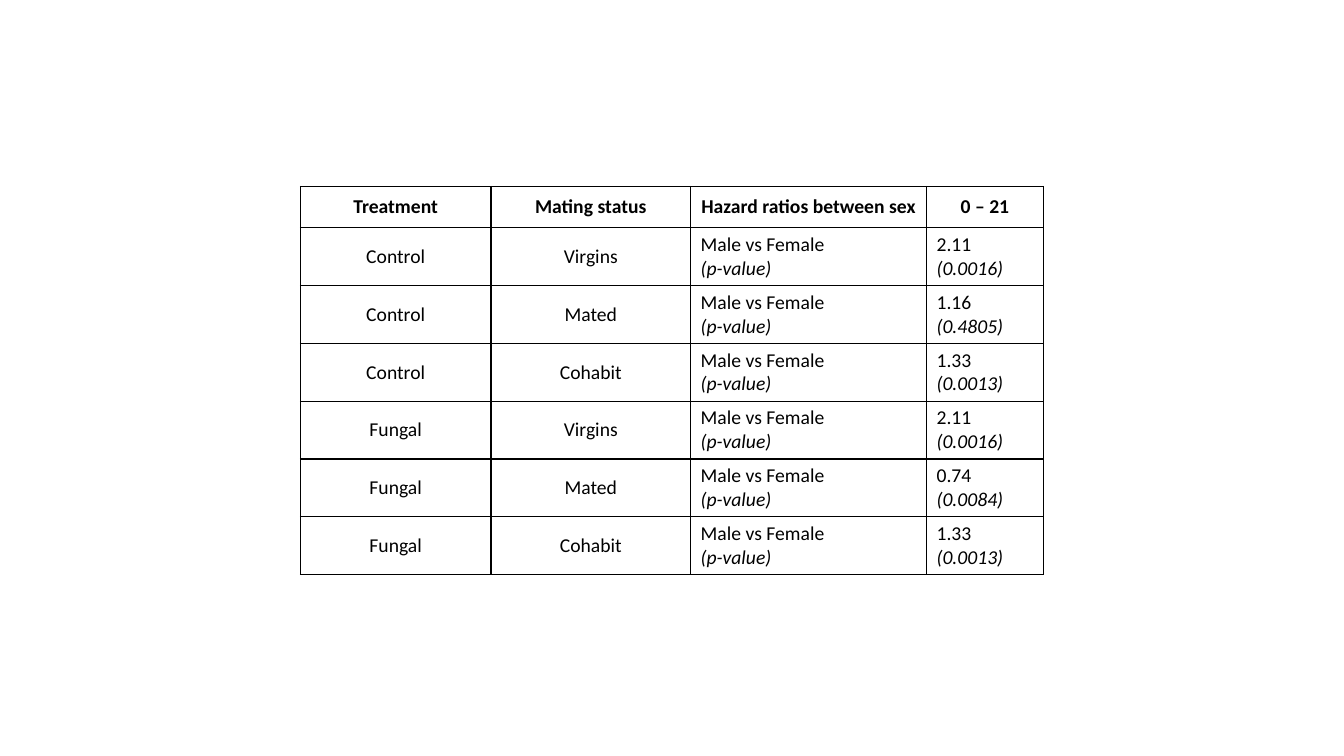
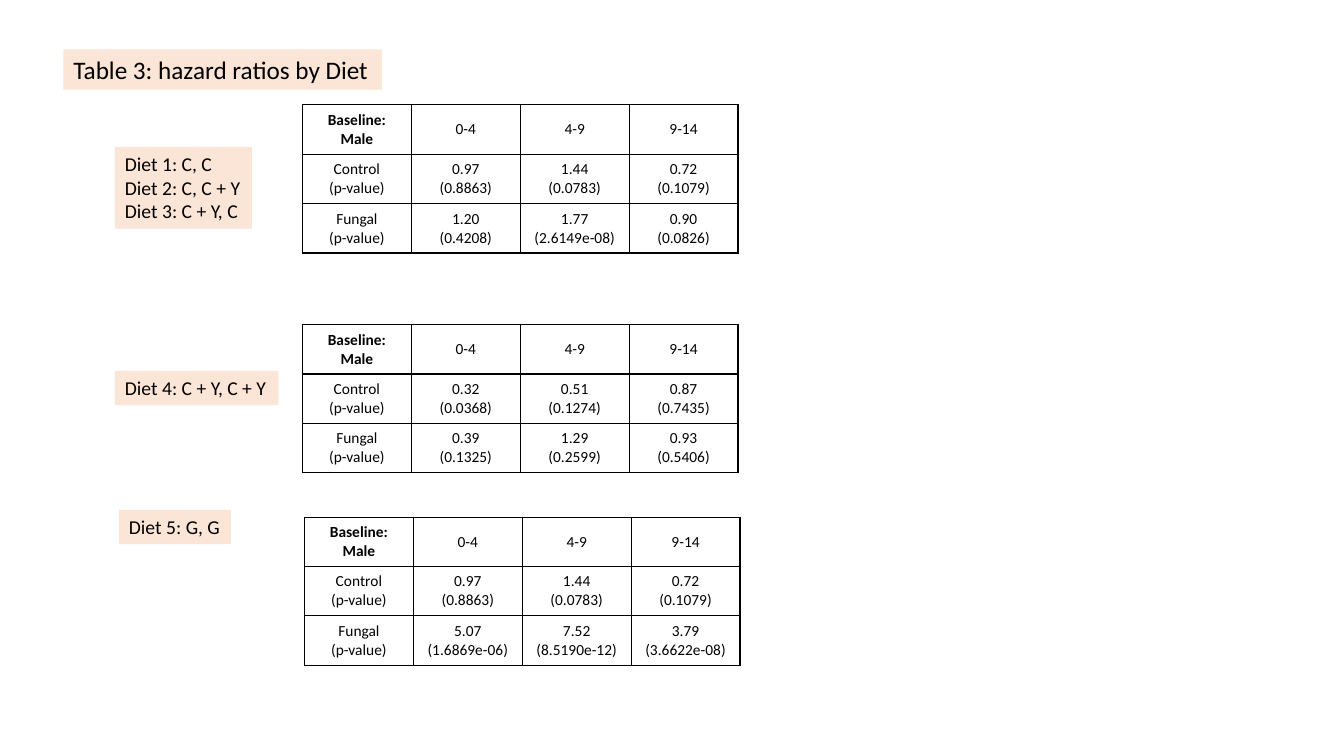
from pptx import Presentation
from pptx.dml.color import RGBColor
from pptx.enum.shapes import MSO_SHAPE
from pptx.enum.text import MSO_ANCHOR, MSO_AUTO_SIZE, PP_ALIGN
from pptx.oxml import parse_xml
from pptx.oxml.ns import nsdecls
from pptx.util import Inches, Pt

RECT = MSO_SHAPE.RECTANGLE
LEFT, CENTER = PP_ALIGN.LEFT, PP_ALIGN.CENTER
TOP, MIDDLE = MSO_ANCHOR.TOP, MSO_ANCHOR.MIDDLE
FIT = MSO_AUTO_SIZE.SHAPE_TO_FIT_TEXT

THEME = {
    "font": "Calibri",
    "ink": "000000",
    "peach": "FBE5D6",
    "title": Pt(18),
    "body": Pt(14),
    "small": Pt(11),
    "rule": Pt(1),
}


def write(frame, text, size, align=LEFT, bold=False, slant=False):
    """Write one paragraph a line; slant sets the lines after the first in italics."""
    frame.text = text
    for line, para in enumerate(frame.paragraphs):
        para.alignment = align
        look = {"name": THEME["font"], "size": size, "bold": bold,
                "italic": slant and line > 0}
        for key, value in look.items():
            setattr(para.font, key, value)
            setattr(para.runs[0].font, key, value)
        para.runs[0].font.color.rgb = RGBColor.from_string(THEME["ink"])


def grid(slide, left, top, widths, height, rows, size, heads, ratios):
    """Draw a ruled table: the first heads cells are bold, columns from ratios on are left-set."""
    table = slide.shapes.add_table(
        len(rows), len(widths), Inches(left), Inches(top),
        Inches(sum(widths)), Inches(height * len(rows))).table
    table.first_row = table.horz_banding = False
    for col, width in zip(table.columns, widths):
        col.width = Inches(width)
    for r, texts in enumerate(rows):
        table.rows[r].height = Inches(height)
        for c, text in enumerate(texts):
            cell = table.cell(r, c)
            ratio = r > 0 and c >= ratios
            cell.vertical_anchor = TOP if ratio else MIDDLE
            write(cell.text_frame, text, size, LEFT if ratio else CENTER,
                  r == 0 and c < heads, ratio)
            # Borders go before the fill in the cell properties
            props = cell._tc.get_or_add_tcPr()
            for side in ("lnL", "lnR", "lnT", "lnB"):
                props.append(parse_xml(
                    f'<a:{side} {nsdecls("a")} w="{THEME["rule"]}"><a:solidFill>'
                    f'<a:srgbClr val="{THEME["ink"]}"/></a:solidFill></a:{side}>'))
            cell.fill.background()


deck = Presentation()
deck.slide_width, deck.slide_height = Inches(13.33), Inches(7.5)
blank = deck.slide_layouts[6]

# Slide 1: hazard ratios between the sexes
slide = deck.slides.add_slide(blank)
trials = [
    ("Control", "Virgins", "2.11\n(0.0016)"),
    ("Control", "Mated", "1.16\n(0.4805)"),
    ("Control", "Cohabit", "1.33\n(0.0013)"),
    ("Fungal", "Virgins", "2.11\n(0.0016)"),
    ("Fungal", "Mated", "0.74\n(0.0084)"),
    ("Fungal", "Cohabit", "1.33\n(0.0013)"),
]
rows = [("Treatment", "Mating status", "Hazard ratios between sex", "0 – 21")]
rows += [(group, status, "Male vs Female\n(p-value)", ratio)
         for group, status, ratio in trials]
grid(slide, 2.98, 1.85, [1.89, 1.98, 2.34, 1.16], 0.41, rows,
     THEME["body"], heads=4, ratios=2)

# Slide 2: one table for each diet group
slide = deck.slides.add_slide(blank)
plain = ("0.97\n(0.8863)", "1.44\n(0.0783)", "0.72\n(0.1079)")
diets = [
    (3, 1.04, plain,
     ("1.20\n(0.4208)", "1.77\n(2.6149e-08)", "0.90\n(0.0826)")),
    (3, 3.22, ("0.32\n(0.0368)", "0.51\n(0.1274)", "0.87\n(0.7435)"),
     ("0.39\n(0.1325)", "1.29\n(0.2599)", "0.93\n(0.5406)")),
    (3.02, 5.13, plain,
     ("5.07\n(1.6869e-06)", "7.52\n(8.5190e-12)", "3.79\n(3.6622e-08)")),
]
for left, top, control, fungal in diets:
    rows = [("Baseline:\nMale", "0-4", "4-9", "9-14"),
            ("Control\n(p-value)", *control),
            ("Fungal\n(p-value)", *fungal)]
    grid(slide, left, top, [1.08] * 4, 0.49, rows,
         THEME["small"], heads=1, ratios=4)

# Title and diet labels
labels = [
    (0.63, 0.49, 3.16, 0.4, "title", "Table 3: hazard ratios by Diet"),
    (1.14, 1.46, 1.36, 0.81, "body",
     "Diet 1: C, C\nDiet 2: C, C + Y\nDiet 3: C + Y, C"),
    (1.14, 3.68, 1.62, 0.34, "body", "Diet 4: C + Y, C + Y"),
    (1.18, 5.06, 1.11, 0.34, "body", "Diet 5: G, G"),
]
for *place, size, text in labels:
    label = slide.shapes.add_shape(RECT, *map(Inches, place))
    label.shadow.inherit = False
    label.fill.solid()
    label.fill.fore_color.rgb = RGBColor.from_string(THEME["peach"])
    label.line.fill.background()
    frame = label.text_frame
    layout = {"word_wrap": False, "auto_size": FIT, "vertical_anchor": TOP}
    for key, value in layout.items():
        setattr(frame, key, value)
    write(frame, text, THEME[size])

deck.save("out.pptx")
